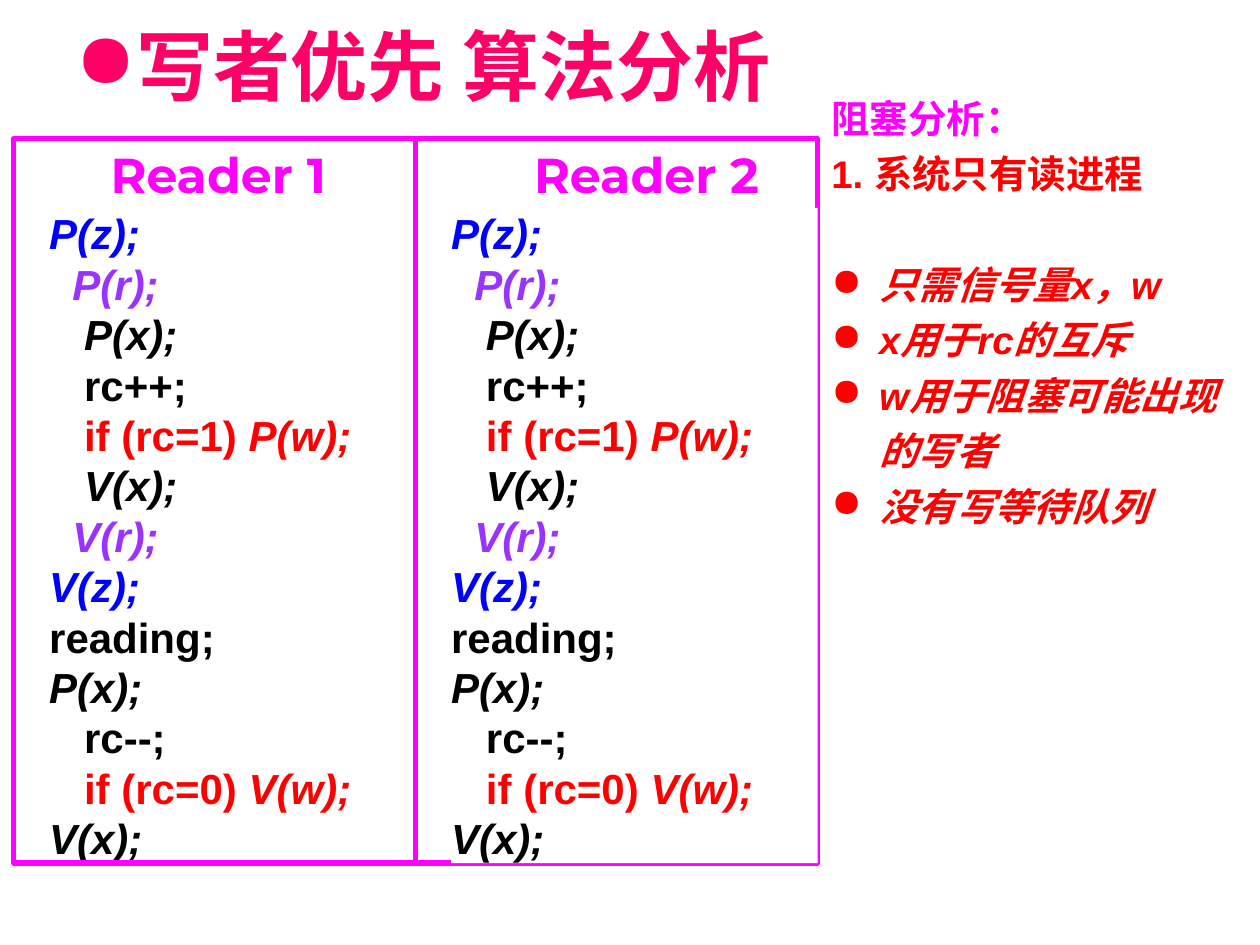
"""Build the writer-priority algorithm analysis slide."""
from lxml.etree import SubElement
from pptx import Presentation
from pptx.dml.color import RGBColor
from pptx.enum.shapes import MSO_SHAPE
from pptx.enum.text import MSO_ANCHOR, PP_ALIGN
from pptx.oxml.ns import qn
from pptx.util import Inches, Pt

COLORS = {
    "title": "FF0066", "accent": "FF00FF", "white": "FFFFFF", "black": "000000",
    "red": "FF0000", "blue": "0000FF", "purple": "9933FF",
}

CODE = [
    [("P(z);", "blue", True)],
    [("  P(r);", "purple", True)],
    [("   P(x);", "black", True)],
    [("   rc++;", "black", False)],
    [("   if (rc=1)", "red", False), (" P(w);", "red", True)],
    [("   V(x);", "black", True)],
    [("  V(r);", "purple", True)],
    [("V(z);", "blue", True)],
    [("reading;", "black", False)],
    [("P(x);", "black", True)],
    [("   rc--;", "black", False)],
    [("   if (rc=0)", "red", False), (" V(w);", "red", True)],
    [("V(x);", "black", True)],
]

HEADINGS = [("阻塞分析：", "accent"), ("1. 系统只有读进程", "red")]
POINTS = ["只需信号量x，w", "x用于rc的互斥", "w用于阻塞可能出现的写者", "没有写等待队列"]

FRAME_LEFT, FRAME_TOP, FRAME_WIDTH, FRAME_HEIGHT = 0.11, 1.1, 3.19, 5.75
CODE_OFFSET, CODE_TOP = 0.28, 1.65


def rgb(name):
    """Return the named colour."""
    return RGBColor.from_string(COLORS[name])


def write_text(paragraph, text, size=24, color="black", font="Arial", italic=False):
    """Add a bold run of text to a paragraph."""
    run = paragraph.add_run()
    run.text = text
    run.font.name = font
    run.font.size = Pt(size)
    run.font.bold = True
    run.font.italic = italic
    run.font.color.rgb = rgb(color)


def indent(paragraph, hanging=0.0, bullet=True):
    """Set a hanging indent and an optional round bullet."""
    properties = paragraph._p.get_or_add_pPr()
    properties.set("marL", str(Inches(hanging)))
    properties.set("indent", str(-Inches(hanging)))
    if bullet:
        SubElement(properties, qn("a:buChar")).set("char", "●")


def next_paragraph(frame, index):
    """Return the first paragraph of a frame or a new one."""
    return frame.add_paragraph() if index else frame.paragraphs[0]


class SlideBuilder:
    """Hold the current slide and draw its kinds of element."""

    def __init__(self, slide):
        """Keep the slide to draw on."""
        self.slide = slide

    def title(self, text):
        """Fill the title placeholder."""
        title = self.slide.shapes.title
        title.left, title.top = Inches(0.5), Inches(0)
        title.width, title.height = Inches(9), Inches(1.03)
        title.text_frame.vertical_anchor = MSO_ANCHOR.MIDDLE
        paragraph = title.text_frame.paragraphs[0]
        indent(paragraph)
        paragraph.alignment = PP_ALIGN.LEFT
        write_text(paragraph, text, size=44, color="title")

    def rectangle(self, left, top, width, height):
        """Add a plain rectangle without fill or line."""
        shape = self.slide.shapes.add_shape(
            MSO_SHAPE.RECTANGLE, Inches(left), Inches(top), Inches(width), Inches(height))
        shape.shadow.inherit = False
        shape.fill.background()
        shape.line.fill.background()
        return shape

    def frame(self, left):
        """Add the outline of one reader column."""
        shape = self.rectangle(left, FRAME_TOP, FRAME_WIDTH, FRAME_HEIGHT)
        shape.line.color.rgb = rgb("accent")
        shape.line.width = Pt(3)

    def code(self, left):
        """Add the code listing of one reader."""
        shape = self.rectangle(left + CODE_OFFSET, CODE_TOP, FRAME_WIDTH - CODE_OFFSET,
                               FRAME_TOP + FRAME_HEIGHT - CODE_TOP)
        shape.fill.solid()
        shape.fill.fore_color.rgb = rgb("white")
        frame = shape.text_frame
        frame.word_wrap = True
        frame.vertical_anchor = MSO_ANCHOR.TOP
        frame.margin_left = frame.margin_right = frame.margin_top = frame.margin_bottom = 0
        for index, line in enumerate(CODE):
            paragraph = next_paragraph(frame, index)
            paragraph.alignment = PP_ALIGN.LEFT
            paragraph.line_spacing = Pt(28.8)
            for text, color, italic in line:
                write_text(paragraph, text, color=color, italic=italic)

    def text_box(self, left, top, width, height, wrap):
        """Add a text box and return its text frame."""
        box = self.slide.shapes.add_textbox(
            Inches(left), Inches(top), Inches(width), Inches(height))
        box.text_frame.word_wrap = wrap
        return box.text_frame

    def reader_label(self, left, text):
        """Add the heading of one reader column."""
        frame = self.text_box(left, FRAME_TOP, 2.1, 0.61, wrap=False)
        write_text(frame.paragraphs[0], text, size=28, color="accent", font="Montserrat")

    def analysis(self):
        """Add the blocking analysis beside the columns."""
        frame = self.text_box(6.5, 0.63, 3.43, 3.62, wrap=True)
        lines = [(text, color, False) for text, color in HEADINGS]
        lines += [(text, "red", True) for text in POINTS]
        for index, (text, color, is_point) in enumerate(lines):
            paragraph = next_paragraph(frame, index)
            indent(paragraph, hanging=0.38, bullet=is_point)
            paragraph.line_spacing = 1.2
            if index == len(HEADINGS):
                paragraph.space_before = Pt(31.6)
            write_text(paragraph, text, size=22, color=color, italic=is_point)


def main():
    """Create and save the presentation."""
    presentation = Presentation()
    presentation.slide_width, presentation.slide_height = Inches(10), Inches(7.5)
    builder = SlideBuilder(presentation.slides.add_slide(presentation.slide_layouts[5]))
    columns = [FRAME_LEFT, FRAME_LEFT + FRAME_WIDTH]
    builder.title("写者优先 算法分析")
    builder.code(columns[0])
    builder.reader_label(0.78, "Reader 1")
    builder.analysis()
    for left in columns:
        builder.frame(left)
    builder.reader_label(4.14, "Reader 2")
    builder.code(columns[1])
    presentation.save("out.pptx")


if __name__ == "__main__":
    main()
